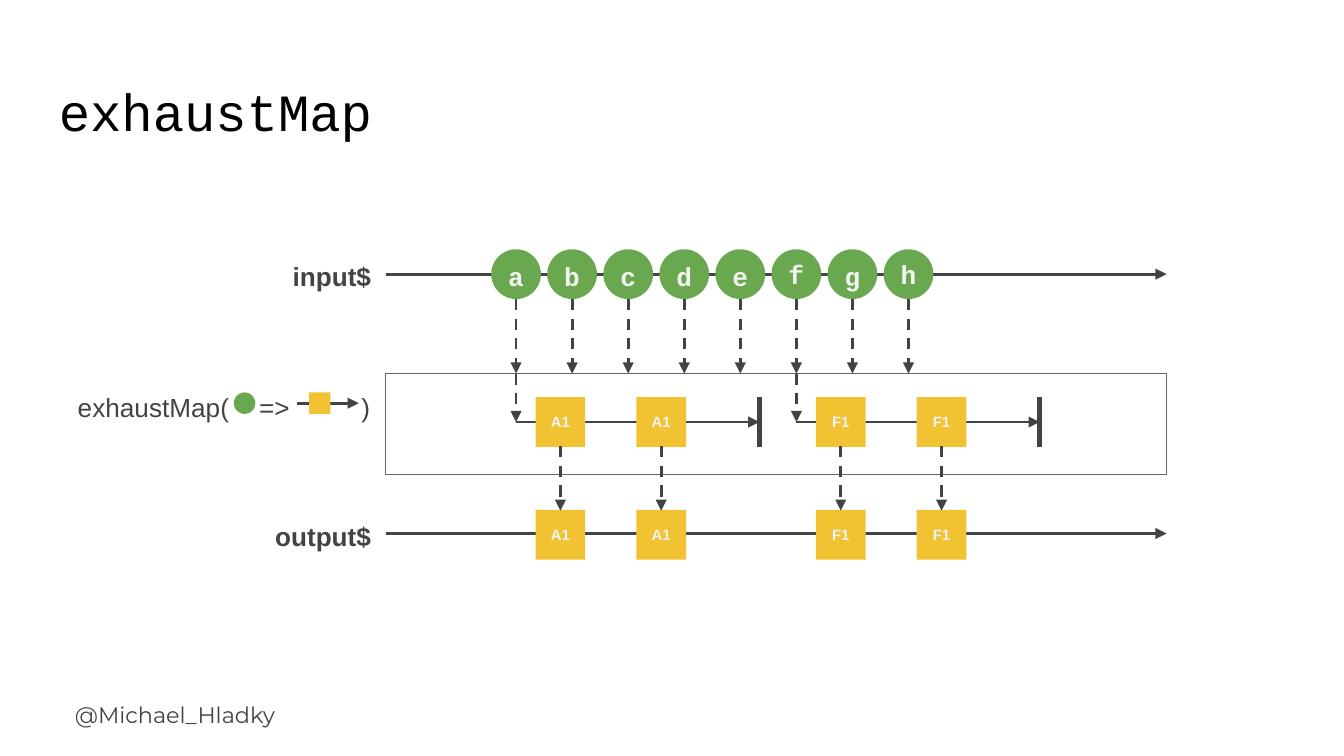
from lxml import etree
from pptx import Presentation
from pptx.dml.color import RGBColor
from pptx.enum.dml import MSO_LINE
from pptx.enum.shapes import MSO_CONNECTOR, MSO_SHAPE
from pptx.enum.text import MSO_ANCHOR, PP_ALIGN
from pptx.oxml.ns import qn
from pptx.util import Inches, Pt

STRAIGHT = MSO_CONNECTOR.STRAIGHT
DASH = MSO_LINE.DASH
CIRCLE, SQUARE = MSO_SHAPE.OVAL, MSO_SHAPE.RECTANGLE
TOP, MIDDLE = MSO_ANCHOR.TOP, MSO_ANCHOR.MIDDLE
LEFT, CENTER, RIGHT = PP_ALIGN.LEFT, PP_ALIGN.CENTER, PP_ALIGN.RIGHT

COLORS = {
    "ink": "434343",
    "title": "000000",
    "frame": "666666",
    "paper": "FFFFFF",
    "light": "F3F3F3",
    "green": "6AA84F",
    "yellow": "F1C232",
}
MARK = 0.37
ICON = 0.16
LETTERS = "abcdefgh"
PITCH = 2.92 / 7
FIRST_CENTER = 0.97
SQUARE_OFFSETS = (0.33, 1.08)
INNER_STREAMS = {"a": "A1", "f": "F1"}


def rgb(name):
    """Return the named colour."""
    return RGBColor.from_string(COLORS[name])


def write(shape, text, size=14, font="Arial", color="ink", bold=False,
          align=LEFT, anchor=TOP, spacing=None, inset=0.1, tabs=()):
    """Fill a shape with one formatted paragraph."""
    frame = shape.text_frame
    frame.word_wrap = True
    frame.vertical_anchor = anchor
    frame.margin_left = frame.margin_right = Inches(inset)
    frame.margin_top = frame.margin_bottom = Inches(inset)
    para = frame.paragraphs[0]
    para.alignment = align
    para.line_spacing = spacing
    if tabs:
        tab_list = etree.SubElement(para._p.get_or_add_pPr(), qn("a:tabLst"))
        for position in tabs:
            etree.SubElement(tab_list, qn("a:tab"), pos=str(Inches(position)), algn="l")
    span = para.add_run()
    span.text = text
    span.font.size = Pt(size)
    span.font.name = font
    span.font.bold = bold
    span.font.color.rgb = rgb(color)


def add_text(page, box, text, **style):
    """Add a text box at the given left, top, width and height."""
    write(page.shapes.add_textbox(*map(Inches, box)), text, **style)


def add_block(page, kind, box, fill, outline=None):
    """Add a flat preset shape."""
    shape = page.shapes.add_shape(kind, *map(Inches, box))
    shape.shadow.inherit = False
    shape.fill.solid()
    shape.fill.fore_color.rgb = rgb(fill)
    if outline:
        shape.line.color.rgb = rgb(outline)
        shape.line.width = Pt(0.75)
    else:
        shape.line.fill.background()
    return shape


def add_line(page, start, end, width=1.5, dashed=False, arrow=True):
    """Draw a straight line, by default with an arrowhead."""
    line = page.shapes.add_connector(STRAIGHT, *map(Inches, (*start, *end)))
    line.line.color.rgb = rgb("ink")
    line.line.width = Pt(width)
    if dashed:
        line.line.dash_style = DASH
    if arrow:
        etree.SubElement(line.line._ln, qn("a:tailEnd"), type="triangle")
    etree.SubElement(line._element.spPr, qn("a:effectLst"))


def add_square(page, center, middle, label):
    """Add a labelled yellow square around a point."""
    box = (center - MARK / 2, middle - MARK / 2, MARK, MARK)
    write(add_block(page, SQUARE, box, "yellow"), label, size=8,
          color="light", bold=True, align=CENTER, anchor=MIDDLE)


def letter_center(left, letter):
    """Return the horizontal centre of an input letter."""
    return left + FIRST_CENTER + LETTERS.index(letter) * PITCH


def add_timeline(page, left, middle, width, label):
    """Draw a named time axis."""
    add_line(page, (left, middle), (left + width, middle))
    add_text(page, (left - 2.4, middle - 0.25, 2.39, 0.5), label,
             bold=True, align=RIGHT, anchor=MIDDLE, spacing=1.15)


def add_input(page, left, middle, width, target):
    """Draw the input axis with its letters and their arrows to the operator."""
    add_timeline(page, left, middle, width, "input$")
    for letter in LETTERS:
        center = letter_center(left, letter)
        box = (center - MARK / 2, middle - MARK / 2, MARK, MARK)
        write(add_block(page, CIRCLE, box, "green"), letter, font="Courier New",
              color="light", bold=True, align=CENTER, anchor=MIDDLE, inset=0,
              spacing=1.0 if letter in "fh" else 1.15)
        add_line(page, (center, middle + MARK / 2), (center, target), dashed=True)


def add_operator(page, left, top, width, height):
    """Draw the operator frame with its inner streams."""
    middle = top + 0.36
    add_block(page, SQUARE, (left, top, width, height), "paper", "frame")
    for letter, label in INNER_STREAMS.items():
        start = letter_center(left, letter)
        end = start + 1.81
        add_line(page, (start, middle), (end, middle))
        add_line(page, (end, middle - MARK / 2), (end, middle + MARK / 2),
                 width=3, arrow=False)
        add_line(page, (start, top), (start, middle), dashed=True)
        for offset in SQUARE_OFFSETS:
            add_square(page, start + offset, middle, label)


def add_operator_label(page, left, top, width, height):
    """Write the operator call with its small icons."""
    middle = top + 0.22
    add_text(page, (left, top, width, height), "exhaustMap(\t=>\t)",
             spacing=1.15, tabs=(1.35, 2.11))
    add_line(page, (left + 1.73, middle), (left + 2.19, middle))
    for kind, offset, fill in ((CIRCLE, 1.26, "green"), (SQUARE, 1.82, "yellow")):
        add_block(page, kind, (left + offset, middle - ICON / 2, ICON, ICON), fill)


def add_output(page, left, middle, width, source):
    """Draw the output axis with the squares that reach it."""
    add_timeline(page, left, middle, width, "output$")
    for letter, label in INNER_STREAMS.items():
        for offset in SQUARE_OFFSETS:
            center = letter_center(left, letter) + offset
            add_square(page, center, middle + 0.01, label)
            add_line(page, (center, source), (center, middle - 0.17), dashed=True)


def main():
    """Build the slide and save the deck."""
    deck = Presentation()
    deck.slide_width = Inches(10)
    deck.slide_height = deck.slide_width * 9 // 16
    page = deck.slides.add_slide(deck.slide_layouts[6])
    add_text(page, (0.46, 5.12, 2.24, 0.45), "@Michael_Hladky",
             size=12, font="Montserrat")
    add_text(page, (0.34, 0.49, 8.63, 0.63), "exhaustMap",
             size=28, font="Courier New", color="title")
    left, width, top, height = 2.87, 5.81, 2.78, 0.75
    add_operator(page, left, top, width, height)
    add_operator_label(page, 0.48, top, 2.39, height)
    add_input(page, left, 2.04, width, top)
    add_output(page, left, 3.97, width, 3.32)
    deck.save("out.pptx")


if __name__ == "__main__":
    main()
